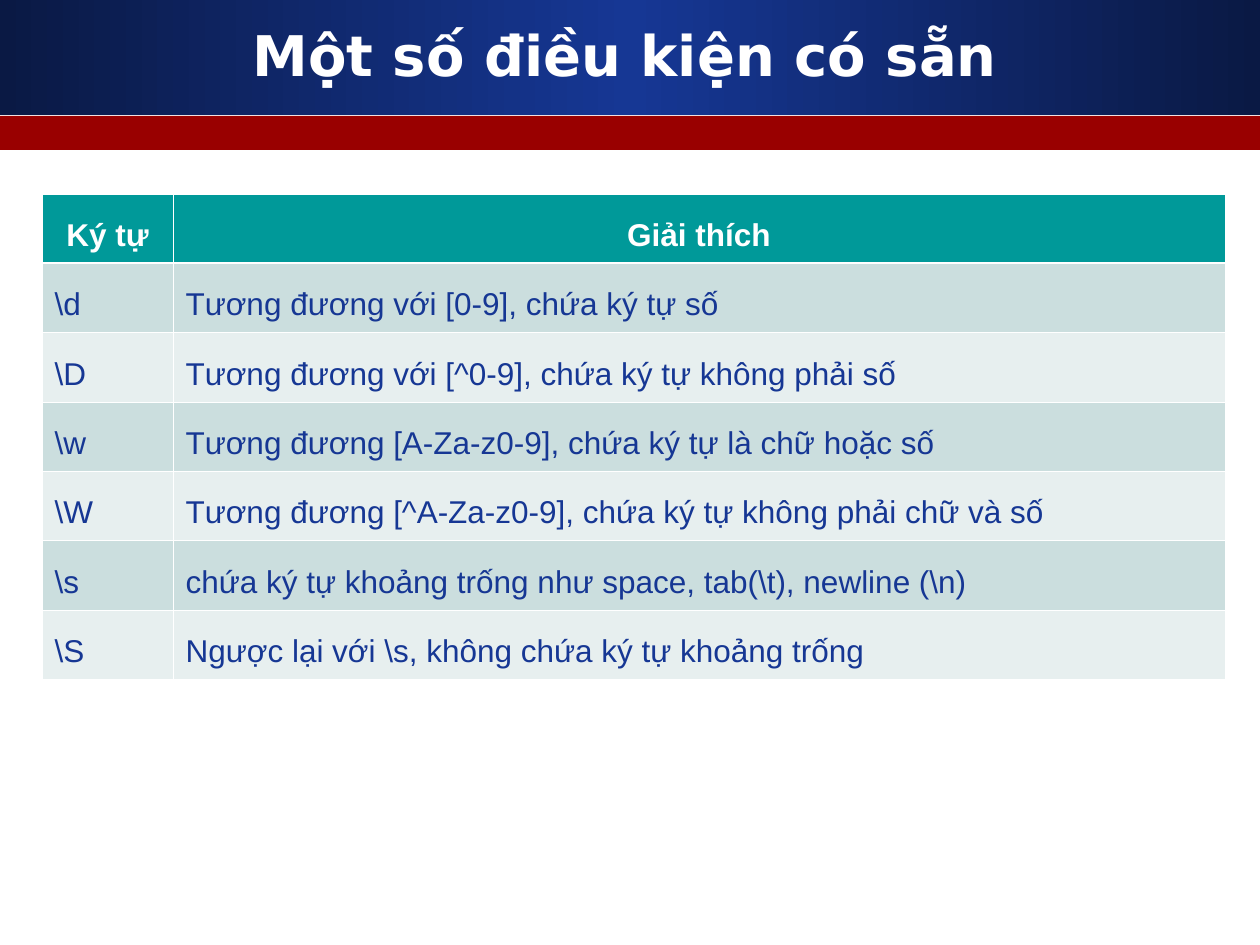
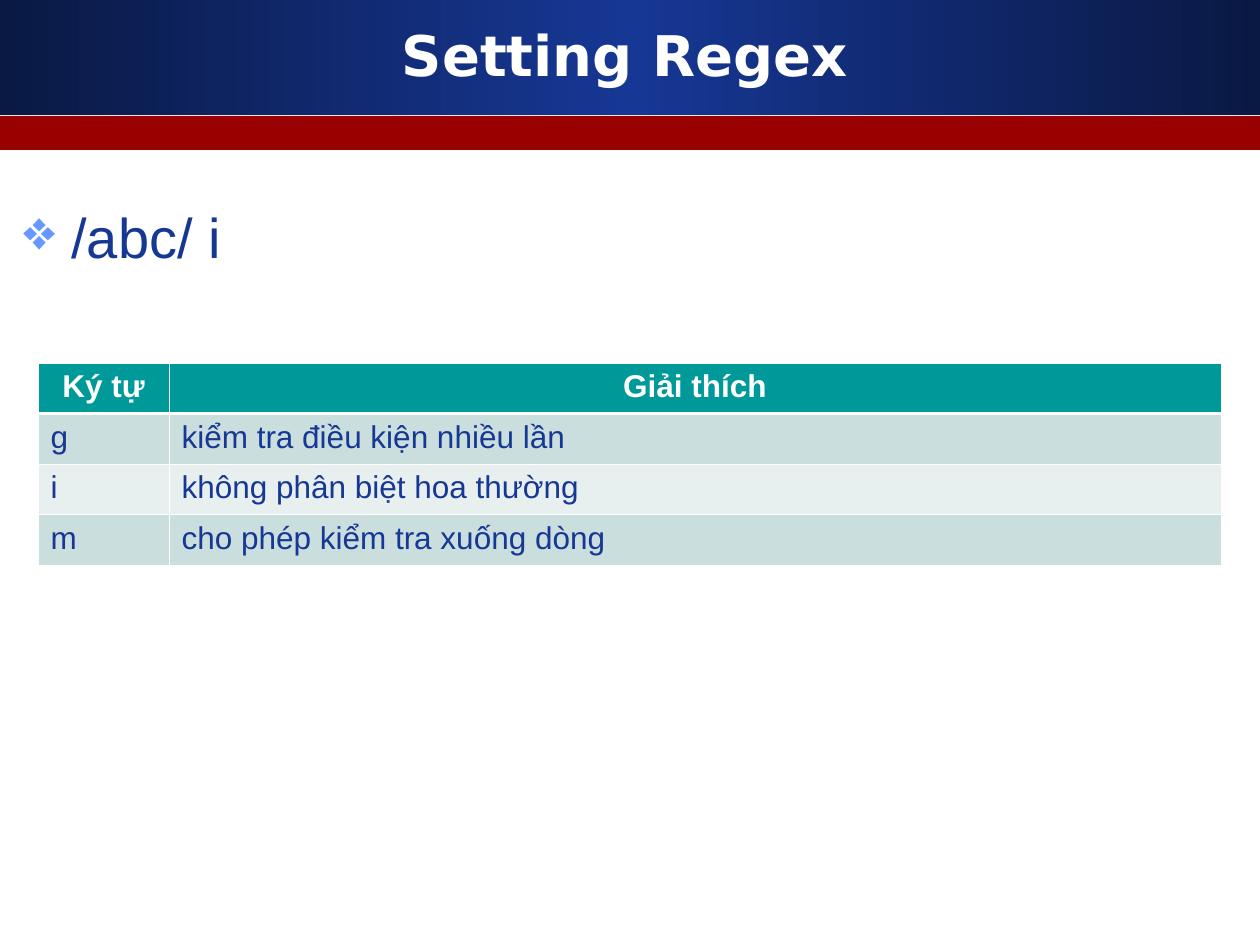
"""Builds two slides that explain regular expression characters and flags."""
from copy import deepcopy

from pptx import Presentation
from pptx.dml.color import RGBColor
from pptx.enum.shapes import MSO_SHAPE
from pptx.enum.text import MSO_ANCHOR as Anchor, PP_ALIGN as Align
from pptx.oxml import parse_xml
from pptx.oxml.ns import nsdecls, qn
from pptx.util import Pt

SCALE = 914400 / 126
NAVY, BLUE, RED, WHITE = "0A1944", "163794", "990000", "FFFFFF"
TEAL, DARK_ROW, LIGHT_ROW, BULLET = "009999", "CBDEDE", "E7EFEF", "6699FF"
HEADER = ("Ký tự", "Giải thích")
COLUMNS = (131, 1052)
THIN, THICK = 5715, 18669
colour = RGBColor.from_string


def px(*lengths):
    return [round(length * SCALE) for length in lengths]


def write(frame, text, size=18, font="Arial", color=BLUE, bold=False,
          align=Align.LEFT, spacing=1.0, before=0):
    paragraph = frame.paragraphs[0]
    paragraph.alignment = align
    paragraph.line_spacing = spacing
    paragraph.space_before = Pt(before)
    run = paragraph.add_run()
    run.text = text
    run.font.size = Pt(size)
    run.font.name = font
    run.font.bold = bold
    run.font.color.rgb = colour(color)
    return paragraph


pages = [
    {
        "title": "Một số điều kiện có sẵn",
        "table": (42, 194, 485),
        "spacing": 1.5,
        "rows": [
            ("\\d", "Tương đương với [0-9], chứa ký tự số"),
            ("\\D", "Tương đương với [^0-9], chứa ký tự không phải số"),
            ("\\w", "Tương đương [A-Za-z0-9], chứa ký tự là chữ hoặc số"),
            ("\\W", "Tương đương [^A-Za-z0-9], chứa ký tự không phải chữ và số"),
            ("\\s", "chứa ký tự khoảng trống như space, tab(\\t), newline (\\n)"),
            ("\\S", "Ngược lại với \\s, không chứa ký tự khoảng trống"),
        ],
    },
    {
        "title": "Setting Regex",
        "example": "/abc/ i",
        "table": (38, 363, 202),
        "spacing": 1.0,
        "rows": [
            ("g", "kiểm tra điều kiện nhiều lần"),
            ("i", "không phân biệt hoa thường"),
            ("m", "cho phép kiểm tra xuống dòng"),
        ],
    },
]

presentation = Presentation()
presentation.slide_width, presentation.slide_height = px(1260, 945)

for page in pages:
    slide = presentation.slides.add_slide(presentation.slide_layouts[6])

    title_band, red_band = [
        slide.shapes.add_shape(MSO_SHAPE.RECTANGLE, *px(0, top, 1260, height))
        for top, height in ((0, 115), (116, 34))
    ]
    for band in (title_band, red_band):
        band.shadow.inherit = False
        band.line.fill.background()
    red_band.fill.solid()
    red_band.fill.fore_color.rgb = colour(RED)
    title_band.fill.gradient()
    title_band.fill.gradient_angle = 0
    stop_list = title_band._element.spPr.find(".//" + qn("a:gsLst"))
    stop_list.append(deepcopy(stop_list[-1]))
    for stop, position, shade in zip(
            title_band.fill.gradient_stops, (0, 0.5, 1), (NAVY, BLUE, NAVY)):
        stop.position = position
        stop.color.rgb = colour(shade)

    title = slide.shapes.add_textbox(*px(42, 21, 1166, 78)).text_frame
    title.word_wrap = True
    title.vertical_anchor = Anchor.MIDDLE
    write(title, page["title"], size=32, font="DejaVu Sans", color=WHITE,
          bold=True, align=Align.CENTER, spacing=0.8)

    if "example" in page:
        body = slide.shapes.add_textbox(*px(11, 163, 1249, 782)).text_frame
        body.word_wrap = True
        example = write(body, page["example"], size=32, spacing=1.5, before=8)
        properties = example._p.get_or_add_pPr()
        indent = px(48)[0]
        properties.set("marL", str(indent))
        properties.set("indent", str(-indent))
        properties.append(parse_xml(
            f'<a:buClr {nsdecls("a")}><a:srgbClr val="{BULLET}"/></a:buClr>'))
        properties.append(parse_xml(f'<a:buChar {nsdecls("a")} char="❖"/>'))

    rows = [HEADER] + page["rows"]
    left, top, height = page["table"]
    table = slide.shapes.add_table(
        len(rows), len(COLUMNS), *px(left, top, sum(COLUMNS), height)).table
    for column, width in zip(table.columns, px(*COLUMNS)):
        column.width = width
    for row_index, texts in enumerate(rows):
        is_header = row_index == 0
        row_fill = TEAL if is_header else (LIGHT_ROW, DARK_ROW)[row_index % 2]
        borders = {
            "lnL": THIN,
            "lnR": THIN,
            "lnT": THICK if row_index == 1 else THIN,
            "lnB": THICK if is_header else THIN,
        }
        for column_index, text in enumerate(texts):
            cell = table.cell(row_index, column_index)
            cell.fill.solid()
            cell.fill.fore_color.rgb = colour(row_fill)
            write(cell.text_frame, text, bold=is_header,
                  color=WHITE if is_header else BLUE,
                  align=Align.CENTER if is_header else Align.LEFT,
                  spacing=page["spacing"])
            for order, (side, width) in enumerate(borders.items()):
                cell._tc.get_or_add_tcPr().insert(order, parse_xml(
                    f'<a:{side} {nsdecls("a")} w="{width}"><a:solidFill>'
                    f'<a:srgbClr val="{WHITE}"/></a:solidFill></a:{side}>'))

presentation.save("out.pptx")
